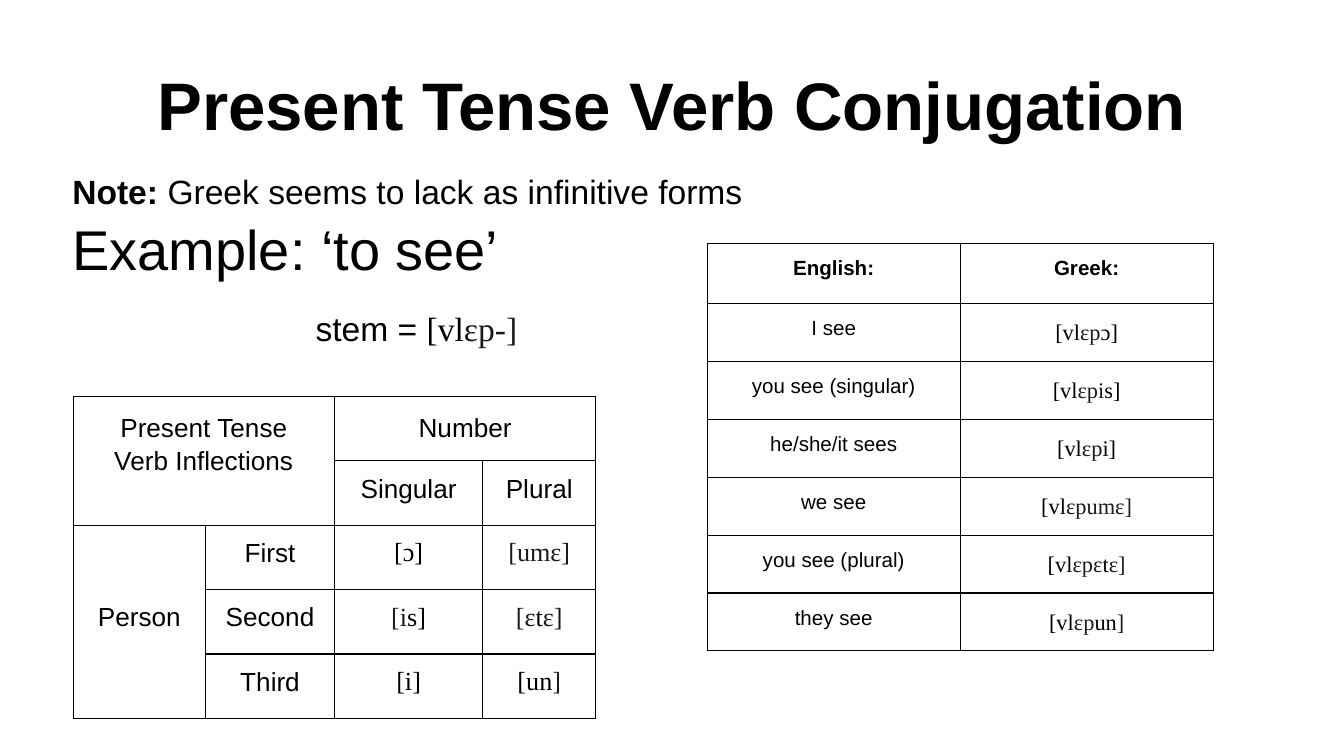
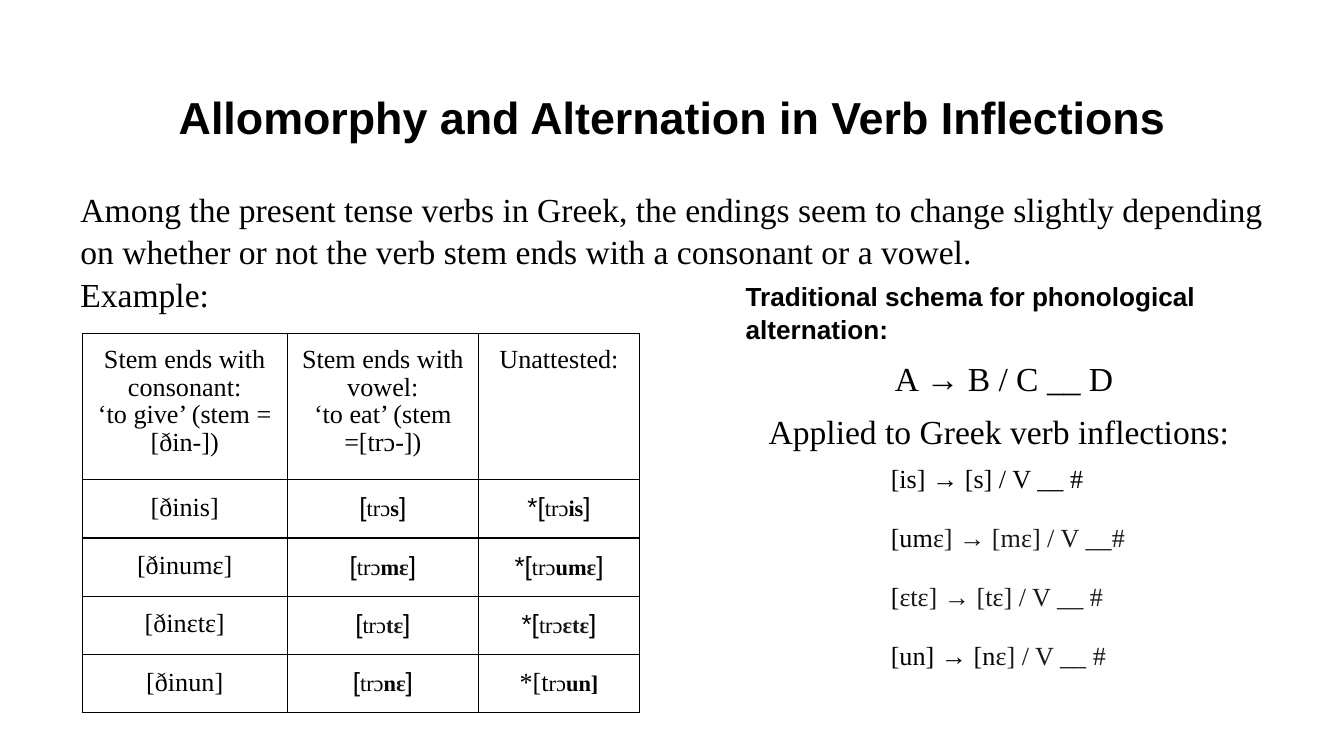
from dataclasses import dataclass

from lxml.etree import SubElement
from pptx import Presentation
from pptx.dml.color import RGBColor
from pptx.enum.text import MSO_ANCHOR, PP_ALIGN
from pptx.oxml.ns import qn
from pptx.util import Pt

SANS, SERIF = "Arial", "Times New Roman"
INK, SOFT_INK, PAPER = "000000", "1A1A1A", "FFFFFF"
LEFT, CENTER = PP_ALIGN.LEFT, PP_ALIGN.CENTER
INSET = 7.2
BOX_SPACING = 1.05


def color(value):
    return RGBColor.from_string(value)


@dataclass
class Run:
    text: str
    font: str
    size: float
    bold: bool = False
    ink: str = INK


@dataclass
class Para:
    runs: list
    align: int = LEFT
    indent: float = 0
    before: float = 0
    spacing: float = 1


def sans(text, size, bold=False):
    return [Run(text, SANS, size, bold)]


def serif(text, size, bold=False):
    """Split text at each bar; every second part is in the softer ink."""
    return [Run(part, SERIF, size, bold, SOFT_INK if i % 2 else INK)
            for i, part in enumerate(text.split("|")) if part]


def centered(runs, spacing=1):
    return [Para(runs, CENTER, spacing=spacing)]


class Deck:
    def __init__(self):
        self.prs = Presentation()
        self.prs.slide_width, self.prs.slide_height = Pt(720), Pt(405)
        self.s = None

    def slide(self, title, size):
        self.s = self.prs.slides.add_slide(self.prs.slide_layouts[6])
        fill = self.s.background.fill
        fill.solid()
        fill.fore_color.rgb = color(PAPER)
        self.text(36, 16.6, 648, 67.7, centered(sans(title, size, True)),
                  MSO_ANCHOR.BOTTOM)

    def fill_text(self, tf, paras):
        for i, para in enumerate(paras):
            p = tf.add_paragraph() if i else tf.paragraphs[0]
            p.alignment = para.align
            p.space_before = Pt(para.before)
            p.line_spacing = para.spacing
            if para.indent:
                p._p.get_or_add_pPr().set("marL", str(Pt(para.indent)))
            for run in para.runs:
                r = p.add_run()
                r.text = run.text
                r.font.name, r.font.size = run.font, Pt(run.size)
                r.font.bold = run.bold
                r.font.color.rgb = color(run.ink)

    def text(self, x, y, w, h, paras, anchor=MSO_ANCHOR.TOP):
        sp = self.s.shapes.add_textbox(Pt(x), Pt(y), Pt(w), Pt(h))
        tf = sp.text_frame
        tf.word_wrap = True
        tf.vertical_anchor = anchor
        tf.margin_left = tf.margin_right = Pt(INSET)
        tf.margin_top = tf.margin_bottom = Pt(INSET)
        self.fill_text(tf, paras)

    def borders(self, cell, visible, line):
        tc_pr = cell._tc.get_or_add_tcPr()
        for i, side in enumerate("LRTB"):
            ln = SubElement(tc_pr, qn(f"a:ln{side}"), w=str(Pt(0.75)))
            if side in visible:
                fill = SubElement(ln, qn("a:solidFill"))
                SubElement(fill, qn("a:srgbClr"), val=line)
            else:
                SubElement(ln, qn("a:noFill"))
            tc_pr.remove(ln)
            tc_pr.insert(i, ln)

    def table(self, x, y, cols, heights, rows, line=INK, blocks=()):
        """Blocks (top, left, bottom, right) are cell areas without inner lines."""
        frame = self.s.shapes.add_table(len(rows), len(cols), Pt(x), Pt(y),
                                        Pt(sum(cols)), Pt(sum(heights)))
        table = frame.table
        table.first_row = table.horz_banding = False
        for col, width in zip(table.columns, cols):
            col.width = Pt(width)
        for row, height in zip(table.rows, heights):
            row.height = Pt(height)
        for r, row in enumerate(rows):
            for c, paras in enumerate(row):
                cell = table.cell(r, c)
                cell.fill.background()
                cell.margin_left = cell.margin_right = Pt(INSET)
                cell.margin_top = cell.margin_bottom = Pt(INSET if paras else 0)
                self.fill_text(cell.text_frame, paras)
                visible = "LRTB"
                for top, left, bottom, right in blocks:
                    if top <= r <= bottom and left <= c <= right:
                        edges = zip("LRTB", (c == left, c == right,
                                             r == top, r == bottom))
                        visible = [side for side, on_edge in edges if on_edge]
                self.borders(cell, visible, line)


def conjugation_slide(deck):
    deck.slide("Present Tense Verb Conjugation", 36)
    deck.text(31.7, 83.5, 648, 310, [
        Para(sans("Note:", 18, True)
             + sans(" Greek seems to lack as infinitive forms", 18),
             spacing=BOX_SPACING),
        Para(sans("Example: ‘to see’", 30), spacing=BOX_SPACING),
        Para(sans("stem = ", 18) + serif("[vl|ɛp-]", 18),
             indent=130.3, before=12.5, spacing=BOX_SPACING),
    ])

    forms = [("I see", "[vl|ɛp|ɔ]"), ("you see (singular)", "[vl|ɛpi|s]"),
             ("he/she/it sees", "[vl|ɛp|i]"), ("we see", "[vl|ɛpumɛ]"),
             ("you see (plural)", "[vl|ɛpɛ|t|ɛ]"), ("they see", "[vl|ɛp|un|]")]
    rows = [[centered(sans(head, 11, True)) for head in ("English:", "Greek:")]]
    rows += [[centered(sans(english, 11)), centered(serif(greek, 12), 1.15)]
             for english, greek in forms]
    deck.table(378.9, 130.4, [135.5] * 2, [32.4] + [23] * 6, rows)

    x, y, cols, height = 39.2, 212.4, [71, 69, 79.5, 60.5], 34.5
    endings = [("", "First", "[ɔ]", "|[umɛ]"),
               ("Person", "Second", "|[i|s]", "|[ɛ|t|ɛ]"),
               ("", "Third", "[i]", "[un|]")]
    rows = [[[]] * 4,
            [[], []] + [centered(sans(n, 14)) for n in ("Singular", "Plural")]]
    for group, person, singular, plural in endings:
        rows.append([centered(sans(group, 14)) if group else [],
                     centered(sans(person, 14)),
                     centered(serif(singular, 14)), centered(serif(plural, 14))])
    deck.table(x, y, cols, [height] * 5, rows,
               blocks=[(0, 0, 1, 1), (0, 2, 0, 3), (2, 0, 4, 0)])
    half = sum(cols[:2])
    deck.text(x, y, half, 2 * height,
              centered(sans("Present Tense", 14), BOX_SPACING)
              + centered(sans("Verb Inflections", 14), BOX_SPACING))
    deck.text(x + half, y, half, height,
              centered(sans("Number", 14), BOX_SPACING))


def allomorphy_slide(deck):
    deck.slide("Allomorphy and Alternation in Verb Inflections", 24)
    intro = ("Among the present tense verbs in Greek, the endings seem to change "
             "slightly depending on whether or not the verb stem ends with a "
             "consonant or a vowel.")
    deck.text(36, 93, 655, 293, [Para(serif(t, 18), spacing=BOX_SPACING)
                                 for t in (intro, "Example:")])

    def stem_form(opening, ending):
        return centered(sans(opening, 14) + serif("trɔ", 12)
                        + serif(ending, 12, True) + sans("]", 14))

    heads = [("Stem ends with consonant:", "‘to give’ (stem = [ðin-])"),
             ("Stem ends with vowel:", "‘to eat’ (stem =[trɔ-])"),
             ("Unattested:",)]
    rows = [[[Para(serif(t, 14), CENTER, spacing=0.95) for t in head]
             for head in heads]]
    for consonant, vowel, unattested in [("[ðinis]", "s", "is"),
                                         ("[ðinumɛ]", "m|ɛ", "um|ɛ"),
                                         ("[ðinɛtɛ]", "|tɛ", "|ɛtɛ"),
                                         ("[ðinun]", "n|ɛ", "")]:
        rows.append([centered(serif(consonant, 14)), stem_form("[", vowel),
                     stem_form("*[", unattested)])
    rows[-1][-1] = centered(serif("*[t", 14) + serif("rɔ", 12)
                            + serif("un]", 12, True))
    deck.table(44, 178.7, [110, 102.3, 86.5], [46.8] + [31] * 4, rows)

    rules = ["[is] → [s] / V __ #", "[um|ɛ] → [mɛ] / V __#",
             "[|ɛtɛ] → [tɛ] / V __ #", "[un] → [n|ɛ] / V __ #"]
    deck.table(470, 242, [163.5], [31.6] * 4,
               [[[Para(serif(rule, 14))]] for rule in rules], PAPER)

    schema = [(sans("Traditional schema for phonological alternation:", 14, True), 0),
              (serif("A → B / C __ D", 18), 80),
              (serif("Applied to Greek verb inflections:", 18), 12.3)]
    deck.text(392.4, 142, 319, 126.7, [Para(runs, LEFT, indent, 6, BOX_SPACING)
                                       for runs, indent in schema])


def main():
    deck = Deck()
    conjugation_slide(deck)
    allomorphy_slide(deck)
    deck.prs.save("out.pptx")


if __name__ == "__main__":
    main()
